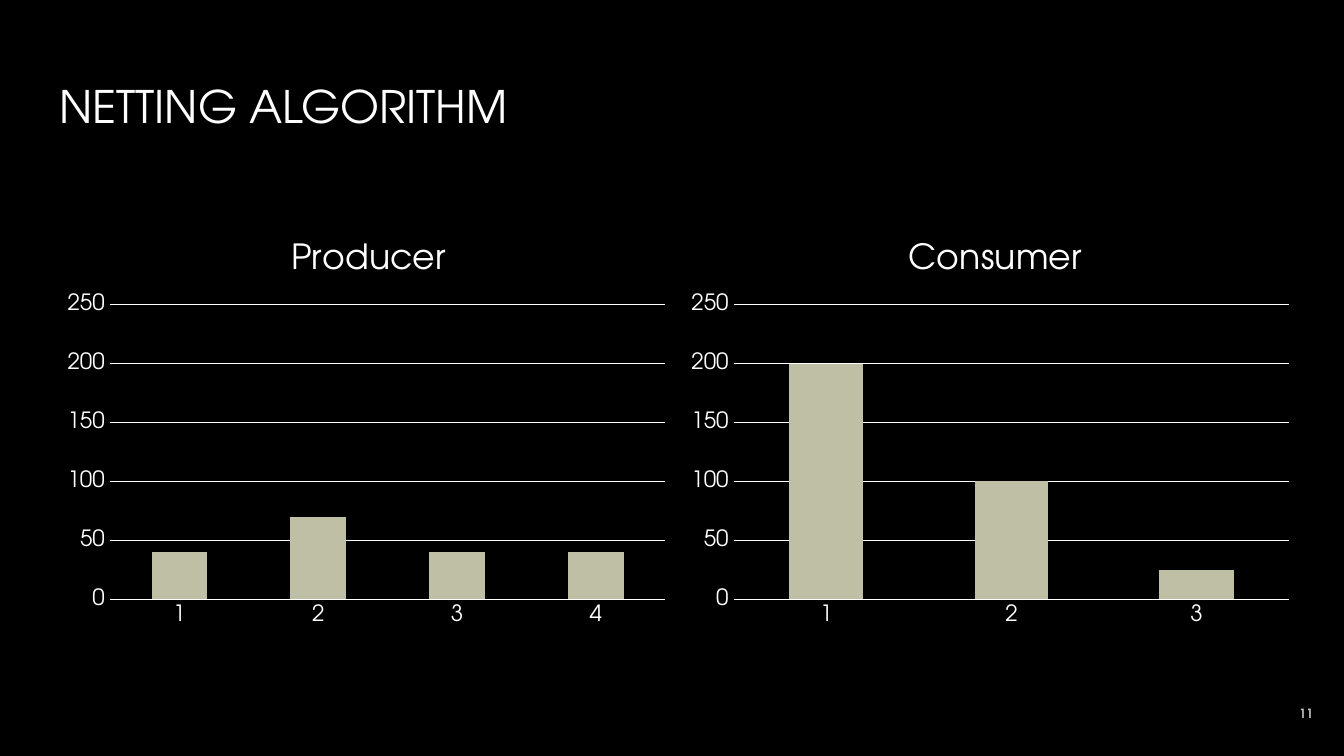
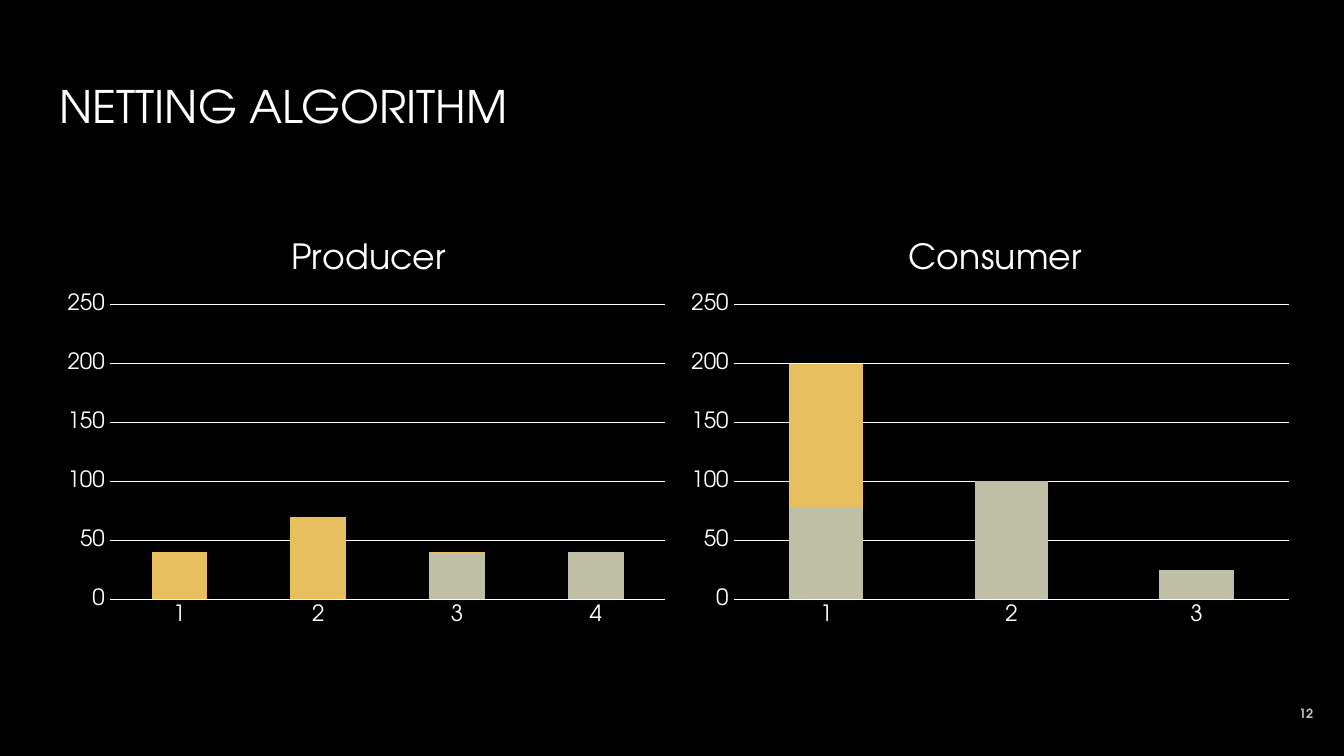
"""Build two netting slides, each comparing producer and consumer columns."""
from dataclasses import dataclass

from lxml.etree import SubElement
from pptx import Presentation
from pptx.chart.data import CategoryChartData
from pptx.dml.color import RGBColor
from pptx.enum.chart import XL_CHART_TYPE as ChartType, XL_TICK_MARK as Tick
from pptx.enum.text import MSO_ANCHOR as Anchor, PP_ALIGN as Align
from pptx.oxml.ns import qn
from pptx.util import Cm, Pt

FONT = "TeX Gyre Adventor"
COLORS = {
    "background": "000000",
    "text": "FFFFFF",
    "title_end": "A6A6A6",
    "number": "BFBFBF",
    "remaining": "BFBFA5",
    "netted": "E7BF5F",
}
CHART_LEFT, CHART_TOP, CHART_WIDTH, CHART_HEIGHT = 1.02, 4.11, 11.79, 7.85
PLOT_AREA = {"x": 0.09, "y": 0.21, "w": 0.89, "h": 0.71}


@dataclass(frozen=True)
class Panel:
    """One stacked column chart."""
    title: str
    title_x: float
    remaining: tuple[int, ...]
    netted: tuple[int, ...]


@dataclass(frozen=True)
class NettingSlide:
    """One slide with its number and panels from left to right."""
    number: int
    panels: tuple[Panel, ...]


SLIDES = (
    NettingSlide(11, (
        Panel("Producer", 0.37, (40, 70, 40, 40), (0, 0, 0, 0)),
        Panel("Consumer", 0.36, (200, 100, 25), (0, 0, 0)),
    )),
    NettingSlide(12, (
        Panel("Producer", 0.37, (0, 0, 38, 40), (40, 70, 2, 0)),
        Panel("Consumer", 0.36, (78, 100, 25), (122, 0, 0)),
    )),
)


def rgb(name: str) -> RGBColor:
    """Return a named colour."""
    return RGBColor.from_string(COLORS[name])


def style_font(font, size: float, color: str = "text", bold: bool = False) -> None:
    """Set the shared typeface with a size, colour and weight."""
    font.name, font.size, font.bold = FONT, Pt(size), bold
    font.color.rgb = rgb(color)


def style_line(line) -> None:
    """Draw a thin line in the text colour."""
    line.color.rgb = rgb("text")
    line.width = Pt(0.75)


def add_text(s, text: str, left: float, top: float, width: float, height: float):
    """Add a one-run text box and return its frame, paragraph and run."""
    tf = s.shapes.add_textbox(Cm(left), Cm(top), Cm(width), Cm(height)).text_frame
    tf.word_wrap = True
    tf.margin_left = tf.margin_right = tf.margin_top = tf.margin_bottom = Cm(0.25)
    p = tf.paragraphs[0]
    r = p.add_run()
    r.text = text
    return tf, p, r


def add_title(s, text: str) -> None:
    """Add the slide title with its gradient fill."""
    _, _, r = add_text(s, text, 0.87, 1.24, 23.67, 1.6)
    style_font(r.font, 24)
    fill = r.font.fill
    fill.gradient()
    fill.gradient_angle = 267
    for stop, position, color in zip(fill.gradient_stops, (0, 1), ("text", "title_end")):
        stop.position = position
        stop.color.rgb = rgb(color)


def add_number(s, number: int) -> None:
    """Add the slide number at the lower right."""
    tf, p, r = add_text(s, str(number), 23.55, 12.95, 1.52, 1.09)
    tf.vertical_anchor = Anchor.MIDDLE
    p.alignment = Align.RIGHT
    style_font(r.font, 6.8, "number", bold=True)


def place(parent, index: int, inner: bool = False, **fractions: float) -> None:
    """Give a chart part a manual layout in fractions of the chart."""
    for old in parent.findall(qn("c:layout")):
        parent.remove(old)
    layout = SubElement(parent, qn("c:layout"))
    parent.insert(index, layout)
    manual = SubElement(layout, qn("c:manualLayout"))
    settings = {"layoutTarget": "inner"} if inner else {}
    settings |= {"xMode": "edge", "yMode": "edge"} | fractions
    for tag, value in settings.items():
        SubElement(manual, qn(f"c:{tag}")).set("val", str(value))


def add_panel(s, panel: Panel, column: int) -> None:
    """Add a stacked column chart in the given column."""
    data = CategoryChartData()
    data.categories = [str(i + 1) for i in range(len(panel.remaining))]
    data.add_series("Series 1", panel.remaining)
    data.add_series("Series 2", panel.netted)
    chart = s.shapes.add_chart(
        ChartType.COLUMN_STACKED, Cm(CHART_LEFT + column * CHART_WIDTH),
        Cm(CHART_TOP), Cm(CHART_WIDTH), Cm(CHART_HEIGHT), data).chart
    style_font(chart.font, 10)
    chart.has_legend = False
    chart.has_title = True
    r = chart.chart_title.text_frame.paragraphs[0].add_run()
    r.text = panel.title
    style_font(r.font, 18.6)
    place(chart.chart_title.element, 1, x=panel.title_x, y=0.04)
    place(chart.element.chart.plotArea, 0, inner=True, **PLOT_AREA)

    plot = chart.plots[0]
    plot.gap_width, plot.overlap, plot.vary_by_categories = 150, 100, False
    for series, color in zip(plot.series, ("remaining", "netted")):
        series.format.fill.solid()
        series.format.fill.fore_color.rgb = rgb(color)

    cat, val = chart.category_axis, chart.value_axis
    for axis in (cat, val):
        axis.major_tick_mark = axis.minor_tick_mark = Tick.NONE
        style_font(axis.tick_labels.font, 12)
    style_line(cat.format.line)
    val.format.line.fill.background()
    val.minimum_scale, val.maximum_scale, val.major_unit = 0, 250, 50
    val.has_major_gridlines = True
    style_line(val.major_gridlines.format.line)


def main() -> None:
    """Build and save the presentation."""
    prs = Presentation()
    prs.slide_width, prs.slide_height = Cm(25.4), Cm(14.29)
    for netting in SLIDES:
        s = prs.slides.add_slide(prs.slide_layouts[6])
        s.background.fill.solid()
        s.background.fill.fore_color.rgb = rgb("background")
        add_title(s, "NETTING ALGORITHM")
        for column, panel in enumerate(netting.panels):
            add_panel(s, panel, column)
        add_number(s, netting.number)
    prs.save("out.pptx")


if __name__ == "__main__":
    main()
